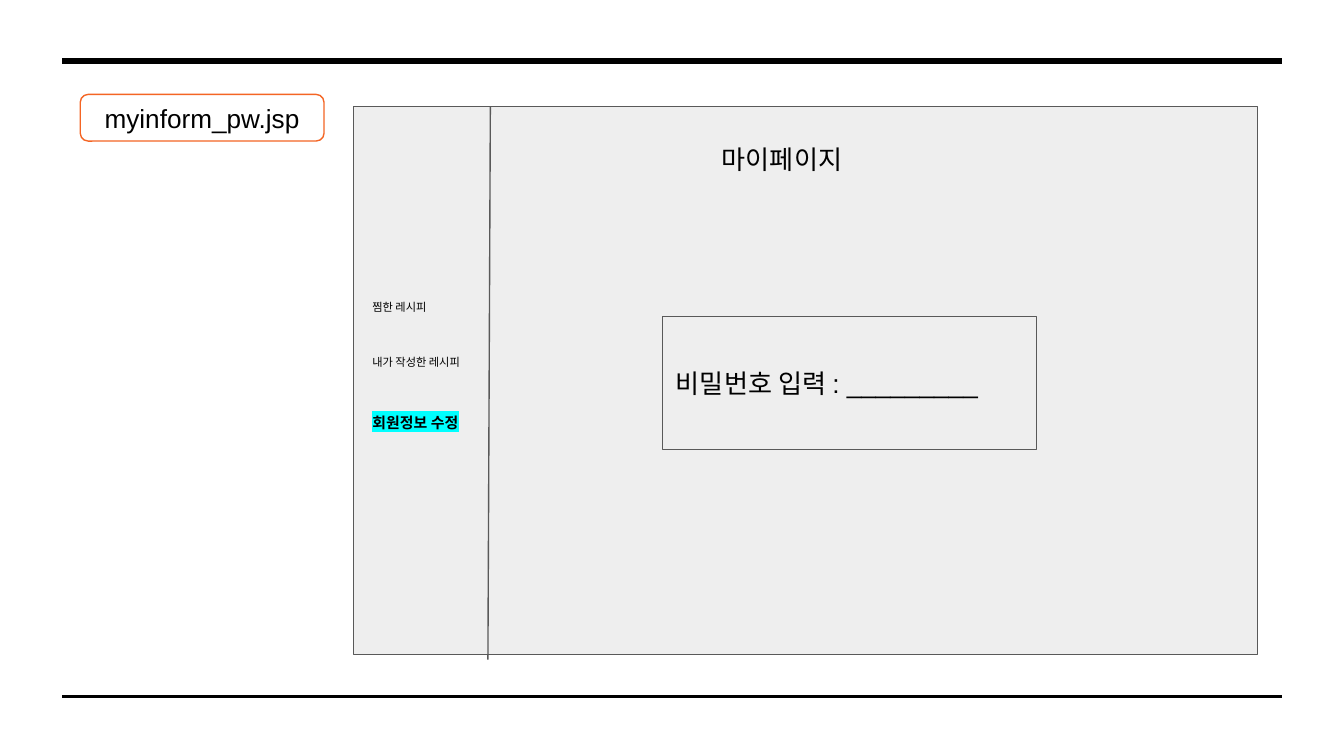
from lxml import etree
from pptx import Presentation
from pptx.dml.color import RGBColor
from pptx.enum.shapes import MSO_CONNECTOR, MSO_SHAPE
from pptx.enum.text import MSO_ANCHOR, MSO_AUTO_SIZE, PP_ALIGN
from pptx.oxml.ns import qn
from pptx.util import Pt

LINE = MSO_CONNECTOR.STRAIGHT
RECT, ROUND = MSO_SHAPE.RECTANGLE, MSO_SHAPE.ROUNDED_RECTANGLE
TOP, MIDDLE = MSO_ANCHOR.TOP, MSO_ANCHOR.MIDDLE
LEFT, CENTER = PP_ALIGN.LEFT, PP_ALIGN.CENTER
GROW = MSO_AUTO_SIZE.SHAPE_TO_FIT_TEXT

FONT = "Arial"
BLACK, GRAY, PANEL = "000000", "595959", "EEEEEE"
ORANGE, CYAN = "F46524", "00FFFF"


def color(code):
    return RGBColor.from_string(code)


def mark(run, code):
    """Highlight a run; the element must follow its fill."""
    light = etree.Element(qn("a:highlight"))
    etree.SubElement(light, qn("a:srgbClr")).set("val", code)
    run.font._element.find(qn("a:solidFill")).addnext(light)


def write(shape, text, size=14, anchor=MIDDLE, align=LEFT, bold=False, light=None):
    frame = shape.text_frame
    frame.text = text
    frame.word_wrap = True
    frame.vertical_anchor = anchor
    frame.margin_left = frame.margin_right = Pt(7.2)
    frame.margin_top = frame.margin_bottom = Pt(7.2)
    para = frame.paragraphs[0]
    para.alignment = align
    run = para.runs[0]
    run.font.name = FONT
    run.font.size = Pt(size)
    run.font.bold = bold
    run.font.color.rgb = color(BLACK)
    if light:
        mark(run, light)


def add_line(slide, x1, y1, x2, y2, code, width):
    line = slide.shapes.add_connector(LINE, Pt(x1), Pt(y1), Pt(x2), Pt(y2))
    line.line.color.rgb = color(code)
    line.line.width = Pt(width)
    etree.SubElement(line._element.spPr, qn("a:effectLst"))


def add_box(slide, kind, x, y, w, h, edge, fill=None):
    box = slide.shapes.add_shape(kind, Pt(x), Pt(y), Pt(w), Pt(h))
    box.shadow.inherit = False
    if fill:
        box.fill.solid()
        box.fill.fore_color.rgb = color(fill)
    else:
        box.fill.background()
    box.line.color.rgb = color(edge)
    box.line.width = Pt(0.75)
    return box


def add_label(slide, x, y, w, h, text, **style):
    label = slide.shapes.add_textbox(Pt(x), Pt(y), Pt(w), Pt(h))
    write(label, text, anchor=TOP, **style)
    label.text_frame.auto_size = GROW


def main():
    deck = Presentation()
    deck.slide_width, deck.slide_height = Pt(720), Pt(405)
    slide = deck.slides.add_slide(deck.slide_layouts[6])

    # Rules at the top and bottom of the slide
    for y, width in ((32.6, 3), (373, 1.5)):
        add_line(slide, 33.5, y, 686.7, y, BLACK, width)

    # Page mock-up with its title and sidebar divider
    add_box(slide, RECT, 189.5, 57, 484.3, 293.6, GRAY, PANEL)
    add_label(slide, 379.6, 69.8, 110, 31.7, "마이페이지")
    add_line(slide, 262.7, 57, 261.4, 353.4, GRAY, 0.75)

    # Password field
    field = add_box(slide, RECT, 355, 169.5, 200.2, 71.2, GRAY, PANEL)
    write(field, "비밀번호 입력 : _________")

    # File name tag
    tag = add_box(slide, ROUND, 43, 50.6, 130.6, 25, ORANGE)
    write(tag, "myinform_pw.jsp", align=CENTER)

    # Sidebar menu, current entry highlighted
    menu = (
        ("찜한 레시피", 21.6, dict(size=6)),
        ("내가 작성한 레시피", 21.6, dict(size=6, light=PANEL)),
        ("회원정보 수정", 24.5, dict(size=8, bold=True, light=CYAN)),
    )
    for i, (text, high, style) in enumerate(menu):
        add_label(slide, 192.4, 157 + 29.8 * i, 71.3, high, text, **style)

    deck.save("out.pptx")


if __name__ == "__main__":
    main()
